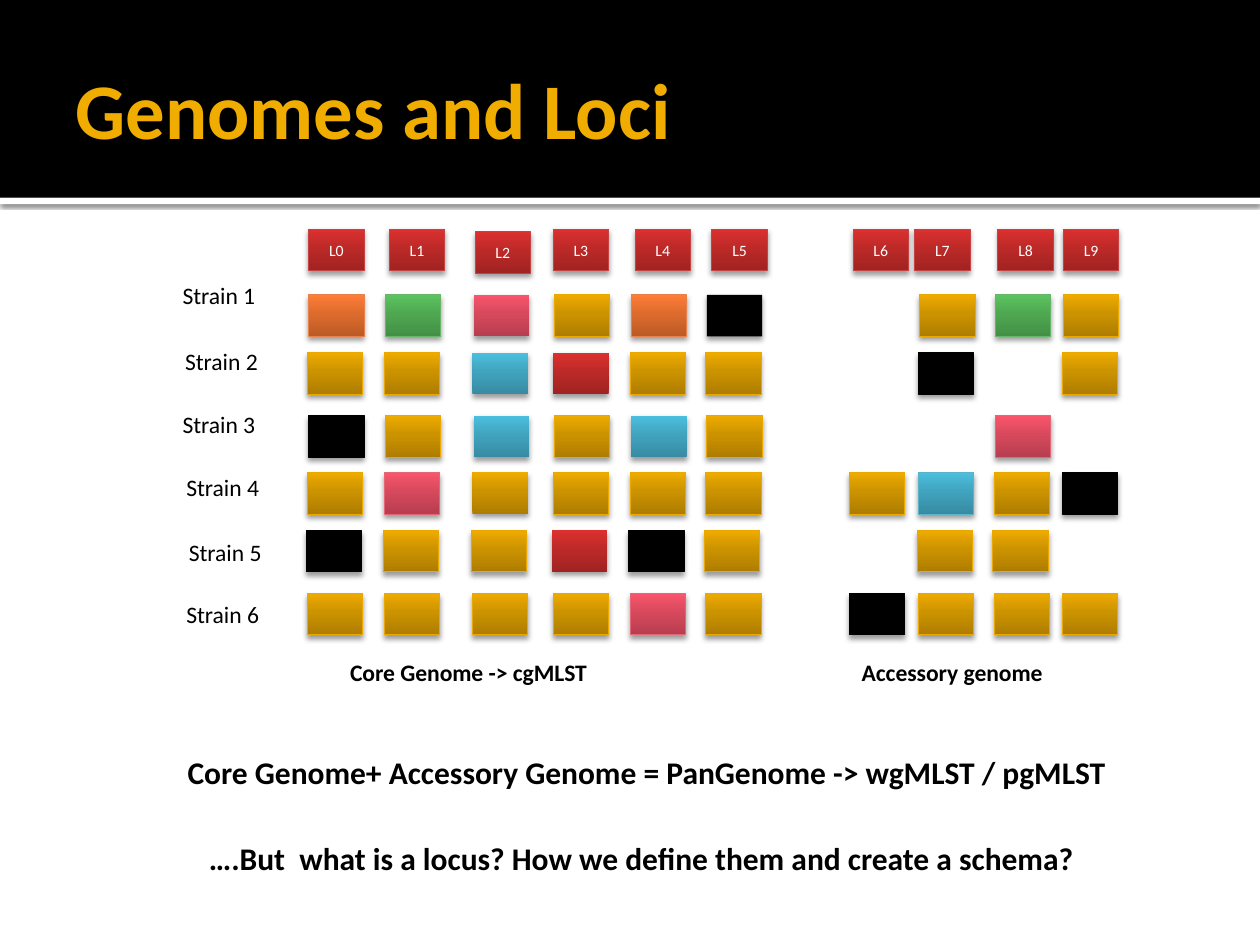
"""Build the slide on strains, loci and core versus accessory genomes."""
from copy import deepcopy
from dataclasses import dataclass

from pptx import Presentation
from pptx.dml.color import RGBColor as Rgb
from pptx.enum.shapes import MSO_SHAPE as Shape
from pptx.enum.text import MSO_ANCHOR as Anchor, PP_ALIGN as Align
from pptx.oxml import parse_xml
from pptx.oxml.ns import nsdecls, qn
from pptx.util import Inches, Pt


@dataclass(frozen=True)
class Theme:
    font: str = "Calibri"
    black: str = "000000"
    white: str = "FFFFFF"
    accent: str = "F0AD00"
    title: float = 45
    statement: float = 18
    label: float = 13.5
    locus: float = 9


theme = Theme()
ALLELES = {
    "Y": (("AE7D00", "CC9300", "EEAB00"), "EBA900"),
    "R": (("A02322", "BC2A28", "DC302F"), "C54342"),
    "P": (("B73E4F", "D7495D", "FA556C"), "E46778"),
    "B": (("378BA2", "41A4BF", "4BBFDE"), "5BB3CA"),
    "O": (("BC5B26", "DD6B2D", "FF7D37"), "E7824C"),
    "G": (("438F45", "4FA851", "5CC35F"), "67B569"),
    "K": ((theme.black,), theme.black),
}


def add_block(parent, box, stops, outline=None, shadow=None):
    block = parent.shapes.add_shape(Shape.RECTANGLE, *map(Inches, box))
    properties = block._element.spPr
    if len(stops) == 1:
        block.fill.solid()
        block.fill.fore_color.rgb = Rgb.from_string(stops[0])
    else:
        block.fill.gradient()
        block.fill.gradient_angle = 90
        stop_list = next(properties.iter(qn("a:gsLst")))
        stop_list.append(deepcopy(stop_list[0]))
        for stop, position, color in zip(block.fill.gradient_stops, (0, 0.55, 1), stops):
            stop.position = position
            stop.color.rgb = Rgb.from_string(color)
    if outline:
        block.line.color.rgb = Rgb.from_string(outline)
        block.line.width = Pt(0.5)
    else:
        block.line.fill.background()
    block.shadow.inherit = False
    if shadow:
        alpha, blur, distance = shadow
        properties.find(qn("a:effectLst")).append(parse_xml(
            f'<a:outerShdw {nsdecls("a")} blurRad="{Pt(blur)}" dist="{Pt(distance)}" '
            f'dir="5400000" rotWithShape="0"><a:srgbClr val="{theme.black}">'
            f'<a:alpha val="{alpha * 1000}"/></a:srgbClr></a:outerShdw>'))
    return block


def write(shape, text, size, color=theme.black, bold=False, align=Align.LEFT, anchor=Anchor.TOP):
    frame = shape.text_frame
    frame.text = text
    frame.word_wrap = True
    frame.vertical_anchor = anchor
    paragraph = frame.paragraphs[0]
    paragraph.alignment = align
    for name, value in {"name": theme.font, "size": Pt(size), "bold": bold}.items():
        setattr(paragraph.font, name, value)
    paragraph.font.color.rgb = Rgb.from_string(color)


presentation = Presentation()
presentation.slide_width, presentation.slide_height = Inches(10), Inches(7.5)
slide = presentation.slides.add_slide(presentation.slide_layouts[5])

add_block(slide, (0, 1.57, 10, 0.05), (theme.white,), shadow=(60, 2.5, 0.8))
add_block(slide, (0, 0, 10, 1.57), (theme.black,))

title = slide.shapes.title
slide.shapes._spTree.append(title._element)
title_place = {"left": 0.5, "top": 0.17, "width": 9, "height": 1.37}
title_margins = {"margin_left": 0.1, "margin_top": 0.05, "margin_right": 0.05, "margin_bottom": 0.05}
for part, lengths in ((title, title_place), (title.text_frame, title_margins)):
    for name, length in lengths.items():
        setattr(part, name, Inches(length))
write(title, "Genomes and Loci", theme.title, theme.accent, bold=True, anchor=Anchor.MIDDLE)

STATEMENTS = (
    ("Core Genome+ Accessory Genome = PanGenome -> wgMLST / pgMLST", (1.39, 5.93, 7.86, 0.4)),
    ("….But  what is a locus? How we define them and create a schema?", (1.56, 6.61, 7.42, 0.4)),
)
for statement, box in STATEMENTS:
    write(slide.shapes.add_textbox(*map(Inches, box)), statement, theme.statement, bold=True)

diagram = slide.shapes.add_group_shape()
block_size = (0.44, 0.33)
block_shadow = (38, 3.1, 2)

# Lowercase allele letters have no outline; a dot marks an absent locus.
LOCUS_LEFTS = (2.44, 3.05, 3.75, 4.39, 5, 5.6, 6.74, 7.29, 7.89, 8.43)
STRAINS = (
    ("OGpYOk.YGY", 2.34, 0.01, 1.35, 2.18),
    ("YYbrYY.K.Y", 2.8, 0, 1.37, 2.7),
    ("KYbYbY..P.", 3.3, 0.01, 1.35, 3.2),
    ("YPyYYYYBYK", 3.75, 0, 1.38, 3.7),
    ("KYYrKY.YY.", 4.21, -0.01, 1.4, 4.22),
    ("YYYYPYKYYY", 4.71, 0, 1.38, 4.71),
)
for number, (alleles, top, shift, label_left, label_top) in enumerate(STRAINS, 1):
    label_box = (label_left, label_top, 1.05, 0.42)
    write(diagram.shapes.add_textbox(*map(Inches, label_box)), f"Strain {number}", theme.label)
    for left, allele in zip(LOCUS_LEFTS, alleles):
        if allele != ".":
            stops, outline = ALLELES[allele.upper()]
            add_block(diagram, (left + shift, top, *block_size), stops,
                      outline if allele.isupper() else None, block_shadow)

GENOME_PARTS = (("Core Genome -> cgMLST", 2.68, 2.94), ("Accessory genome", 6.74, 2.26))
for genome_part, left, width in GENOME_PARTS:
    caption = diagram.shapes.add_textbox(*map(Inches, (left, 5.17, width, 0.42)))
    write(caption, genome_part, theme.label, bold=True)

HEADER_LEFTS = (2.45, 3.09, 3.77, 4.39, 5.04, 5.65, 6.77, 7.26, 7.92, 8.44)
for number, left in enumerate(HEADER_LEFTS):
    top = 1.84 if number == 2 else 1.82
    locus = add_block(diagram, (left, top, *block_size), *ALLELES["R"], block_shadow)
    write(locus, f"L{number}", theme.locus, theme.white, align=Align.CENTER, anchor=Anchor.MIDDLE)

presentation.save("out.pptx")
